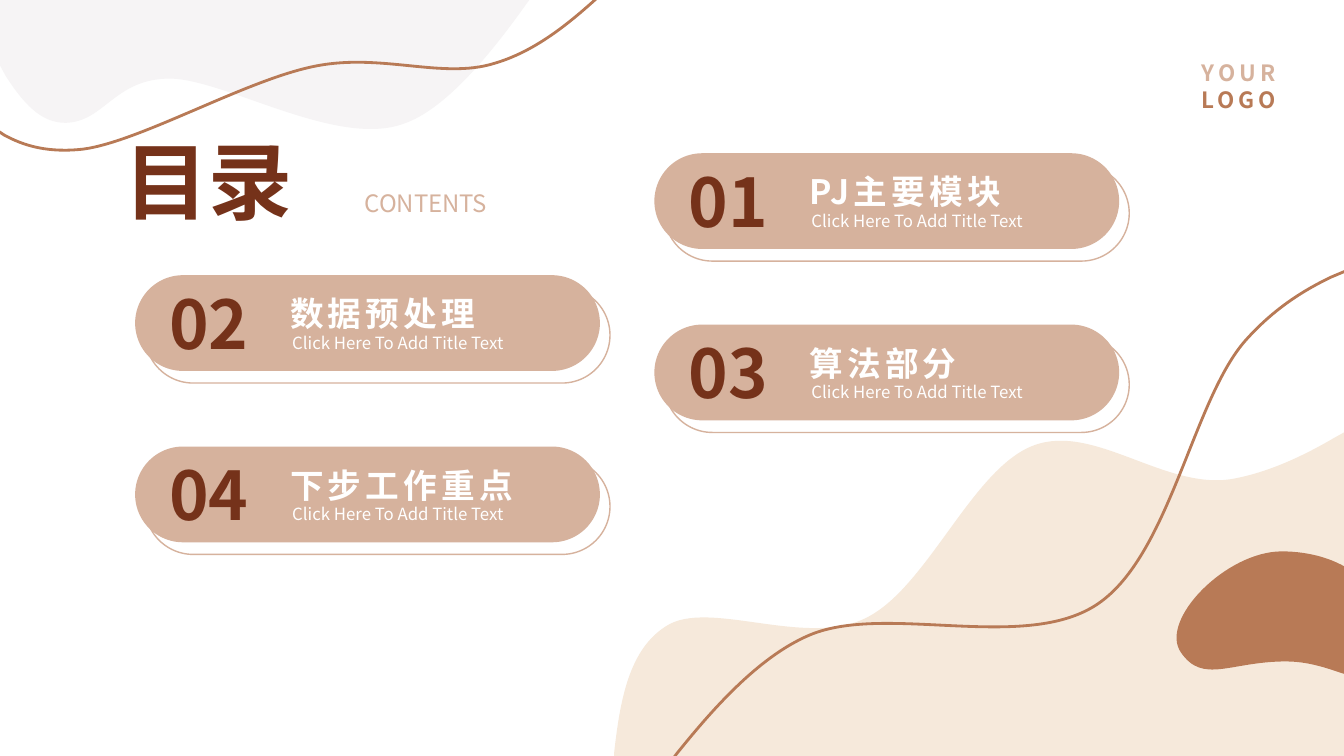
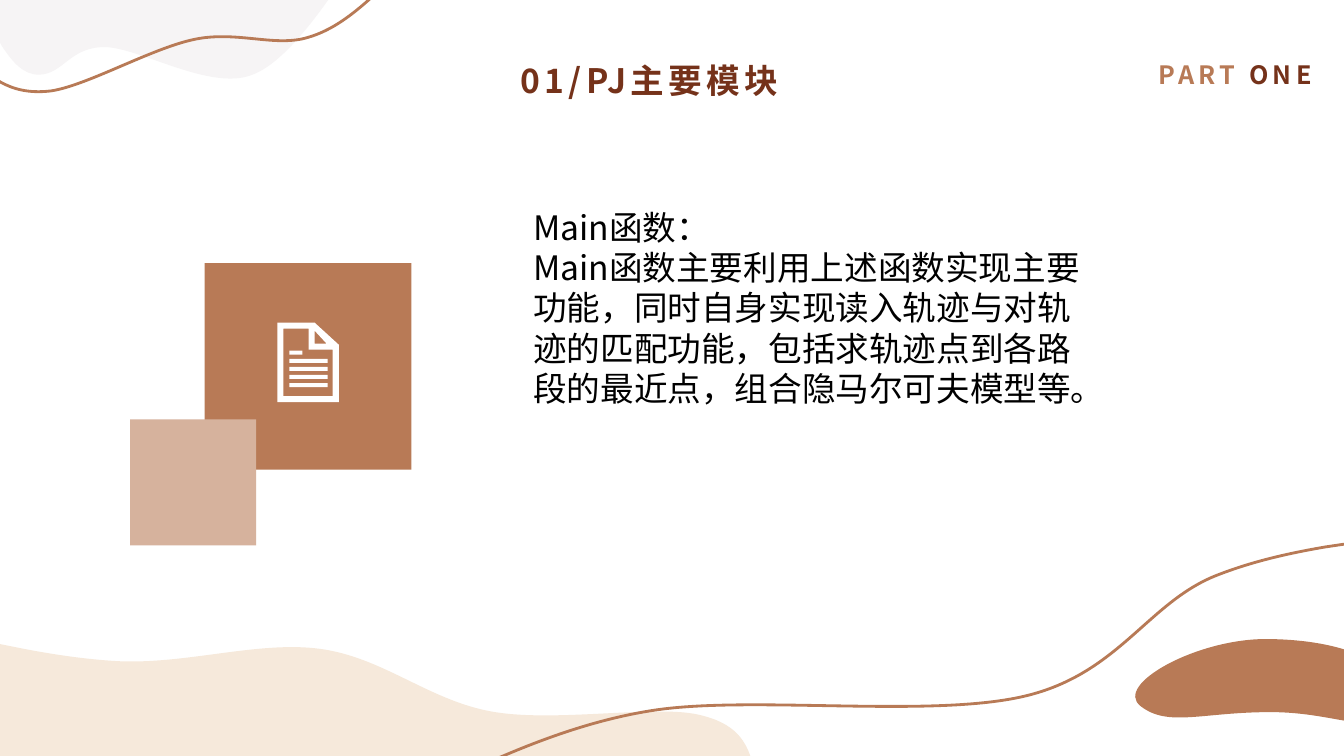
from pptx import Presentation
from pptx.dml.color import RGBColor
from pptx.enum.shapes import MSO_SHAPE as Shape
from pptx.enum.text import PP_ALIGN as Align
from pptx.oxml.ns import qn
from pptx.util import Inches, Pt
from lxml.etree import SubElement

WIDTH, HEIGHT = 13.33, 7.5
FONT = "Noto Sans CJK SC"
BROWN, COPPER, SAND, CREAM, GREY, WHITE, BLACK = (
    "75321A", "B87A56", "D6B29D", "F6E9DB", "F6F4F5", "FFFFFF", "000000")

CHAPTERS = [("01", "PJ主要模块"), ("02", "数据预处理"),
            ("03", "算法部分"), ("04", "下步工作重点")]
CHAPTER_HINT = "Click Here To Add Title Text"
CARD_COLUMNS = [(6.49, 1.52), (1.34, 2.73)]
CARD_PITCH, CARD_SIZE = 1.7, (4.61, 0.95)

MAIN_TEXT = [
    "Main函数：",
    "Main函数主要利用上述函数实现主要功能，同时自身实现读入轨迹与对轨迹的匹配功能，"
    "包括求轨迹点到各路段的最近点，组合隐马尔可夫模型等。",
]

# Outlines: a pair is a line to that point, six numbers are a Bezier curve.
HILL = [(13.33, 4.29), (13.33, 7.5), (6.09, 7.5), (6.09, 7.48),
        (6.15, 6.94, 6.24, 6.44, 6.61, 6.21), (7.03, 5.94, 7.99, 6.43, 8.59, 6.13),
        (9.2, 5.83, 9.64, 4.65, 10.25, 4.42), (10.85, 4.19, 11.56, 4.87, 12.23, 4.75),
        (12.56, 4.69, 12.9, 4.54, 13.24, 4.34)]
CLOUD = [(0, 0), (5.25, 0), (5.22, 0.04), (4.88, 0.52, 4.42, 1.09, 4, 1.23),
         (3.34, 1.47, 2.24, 0.79, 1.69, 0.78), (1.13, 0.78, 1.04, 1.21, 0.65, 1.22),
         (0.4, 1.22, 0.23, 1.02, 0.06, 0.76), (0, 0.65)]
TOP_WAVE = [(-0.05, -0.06), (5.96, -0.06), (5.9, 0),
            (5.6, 0.27, 5.28, 0.52, 4.9, 0.63), (4.38, 0.79, 3.78, 0.52, 3.11, 0.66),
            (2.43, 0.8, 1.4, 1.4, 0.83, 1.48), (0.48, 1.52, 0.24, 1.45, 0.04, 1.34),
            (-0.05, 1.28)]
BOTTOM_WAVE = [(13.39, 2.67), (13.39, 7.56), (6.65, 7.56), (6.71, 7.48),
               (7.04, 7.07, 7.51, 6.52, 8.03, 6.3),
               (8.79, 5.98, 10.17, 6.48, 10.89, 5.99),
               (11.61, 5.5, 11.83, 3.96, 12.36, 3.37),
               (12.63, 3.07, 12.91, 2.89, 13.2, 2.75)]
PEBBLE = [(11.71, 6.47), (11.49, 6.15, 12.16, 5.47, 12.71, 5.47),
          (13.27, 5.47, 13.83, 5.78, 13.71, 6.47), (13.59, 6.97, 13.31, 6.56, 12.75, 6.56),
          (12.2, 6.56, 11.93, 6.79, 11.71, 6.47)]
DECOR = [(HILL, CREAM, None), (CLOUD, GREY, None), (TOP_WAVE, None, COPPER),
         (BOTTOM_WAVE, None, COPPER), (PEBBLE, COPPER, None)]

# One frame (left, top, width, height) for each part of DECOR; negative width mirrors.
CONTENTS_FRAMES = [(6.09, 4.29, 7.24, 3.21), (0, 0, 5.25, 1.28), (-0.05, -0.06, 6.01, 1.55),
                   (6.65, 2.67, 6.74, 4.89), (11.67, 5.47, 2.06, 1.25)]
CHAPTER_FRAMES = [(7.46, 6.39, -7.46, 1.17), (-0.02, -0.02, 3.29, 0.8),
                  (-0.05, -0.06, 3.77, 0.97), (4.72, 5.39, 8.67, 2.23),
                  (11.26, 6.34, 2.55, 0.83)]

PAGE_ICON = [
    [(2.75, 3.2), (3.12, 3.2), (3.36, 3.42), (3.36, 3.99), (2.75, 3.99)],
    [(2.81, 3.26), (3.06, 3.26), (3.06, 3.47), (3.3, 3.47), (3.3, 3.93), (2.81, 3.93)],
    [(3.12, 3.28), (3.24, 3.41), (3.12, 3.41)],
]
PAGE_LINE_WIDTHS = [0.13, 0.38, 0.38, 0.38, 0.38]


def colour(code):
    return RGBColor.from_string(code)


def paint(shape, fill=None, line=None, weight=1):
    shape.shadow.inherit = False
    if fill:
        shape.fill.solid()
        shape.fill.fore_color.rgb = colour(fill)
    else:
        shape.fill.background()
    if line:
        shape.line.color.rgb = colour(line)
        shape.line.width = Pt(weight)
    else:
        shape.line.fill.background()


def add_box(slide, left, top, width, height, kind=Shape.RECTANGLE, **look):
    box = slide.shapes.add_shape(kind, *map(Inches, (left, top, width, height)))
    if kind == Shape.ROUNDED_RECTANGLE:
        box.adjustments[0] = 0.5
    paint(box, **look)


def add_text(slide, paragraphs, left, top, width, height, size=24, color=BLACK,
             bold=False, spacing=0, align=Align.LEFT):
    """A paragraph is a string or a list of (text, colour) runs."""
    frame = slide.shapes.add_textbox(*map(Inches, (left, top, width, height))).text_frame
    frame.word_wrap = True
    for index, content in enumerate(paragraphs):
        paragraph = frame.paragraphs[0] if index == 0 else frame.add_paragraph()
        paragraph.alignment = align
        runs = [(content, color)] if isinstance(content, str) else content
        for words, run_color in runs:
            run = paragraph.add_run()
            run.text = words
            font = run.font
            font.name, font.size, font.bold = FONT, Pt(size), bold
            font.color.rgb = colour(run_color)
            properties = run._r.get_or_add_rPr()
            SubElement(properties, qn("a:ea")).set("typeface", FONT)
            if spacing:
                properties.set("spc", str(spacing * 100))


def pairs(part):
    return list(zip(part[::2], part[1::2]))


def flatten(outline, steps=20):
    """Sample the outline, so that its true extent is known."""
    points = []
    for part in outline:
        if len(part) == 2:
            points.append(part)
            continue
        knots = [points[-1], *pairs(part)]
        for step in range(1, steps + 1):
            t = step / steps
            weights = ((1 - t) ** 3, 3 * t * (1 - t) ** 2, 3 * t * t * (1 - t), t ** 3)
            points.append(tuple(sum(w * knot[axis] for w, knot in zip(weights, knots))
                                for axis in (0, 1)))
    return points


def fit(outline, left, top, width, height):
    """Stretch the outline into a frame."""
    xs, ys = zip(*flatten(outline))
    sx, sy = width / (max(xs) - min(xs)), height / (max(ys) - min(ys))
    return [tuple(value for x, y in pairs(part)
                  for value in (left + (x - min(xs)) * sx, top + (y - min(ys)) * sy))
            for part in outline]


def add_outline(slide, contours, **look):
    contours = [[(Inches(x), Inches(y)) for x, y in contour] for contour in contours]
    builder = slide.shapes.build_freeform(*contours[0][0], scale=1.0)
    for index, contour in enumerate(contours):
        if index:
            builder.move_to(*contour[0])
        builder.add_line_segments(contour[1:], close=True)
    shape = builder.convert_to_shape()
    paint(shape, **look)
    return shape


def add_curve(slide, outline, **look):
    """Draw the sampled outline, then write its segments as true Bezier curves."""
    shape = add_outline(slide, [flatten(outline)], **look)
    drawing = shape._element.find(".//" + qn("a:path"))
    for segment in list(drawing):
        drawing.remove(segment)
    for index, part in enumerate(outline):
        tag = "a:moveTo" if index == 0 else "a:lnTo" if len(part) == 2 else "a:cubicBezTo"
        segment = SubElement(drawing, qn(tag))
        for x, y in pairs(part):
            point = SubElement(segment, qn("a:pt"))
            point.set("x", str(Inches(x) - shape.left))
            point.set("y", str(Inches(y) - shape.top))
    SubElement(drawing, qn("a:close"))


def add_decor(slide, frames):
    for (outline, fill, line), frame in zip(DECOR, frames):
        add_curve(slide, fit(outline, *frame), fill=fill, line=line, weight=2)


def add_card(slide, x, y, number, title):
    pill = Shape.ROUNDED_RECTANGLE
    add_box(slide, x + 0.1, y + 0.12, *CARD_SIZE, kind=pill, line=SAND)
    add_box(slide, x, y, *CARD_SIZE, kind=pill, fill=SAND)
    add_text(slide, [title], x + 1.44, y + 0.13, 2.98, 0.5,
             color=WHITE, bold=True, spacing=3)
    add_text(slide, [CHAPTER_HINT], x + 1.46, y + 0.52, 2.69, 0.3, size=12, color=WHITE)
    add_text(slide, [number], x + 0.24, y + 0.02, 1.36, 0.91,
             size=48, color=BROWN, bold=True)


def build_contents(slide):
    add_decor(slide, CONTENTS_FRAMES)
    add_text(slide, ["目录"], 1.14, 1.24, 2.24, 1.11, size=60, color=BROWN, bold=True,
             align=Align.JUSTIFY)
    add_text(slide, ["CONTENTS"], 3.52, 1.82, 2.24, 0.39, size=17.1, color=SAND,
             align=Align.JUSTIFY)
    for index, (number, title) in enumerate(CHAPTERS):
        row, column = divmod(index, len(CARD_COLUMNS))
        x, y = CARD_COLUMNS[column]
        add_card(slide, x, y + row * CARD_PITCH, number, title)
    add_text(slide, [[("YOUR", SAND)], [("LOGO", COPPER)]], 11.66, 0.54, 1.25, 0.64,
             size=16, bold=True, spacing=3, align=Align.CENTER)


def build_chapter(slide):
    add_box(slide, 2.03, 2.61, 2.05, 2.05, fill=COPPER)
    add_box(slide, 1.29, 4.16, 1.25, 1.25, fill=SAND)
    add_decor(slide, CHAPTER_FRAMES)
    add_text(slide, ["/".join(CHAPTERS[0])], 4.35, 0.55, 4.18, 0.5,
             color=BROWN, bold=True, spacing=3, align=Align.CENTER)
    add_text(slide, [[("PART ", COPPER), ("ONE", BROWN)]], 11.34, 0.54, 1.82, 0.71,
             size=18, bold=True, spacing=3, align=Align.CENTER)
    add_outline(slide, PAGE_ICON, fill=WHITE)
    for row, width in enumerate(PAGE_LINE_WIDTHS):
        add_box(slide, 2.87, 3.48 + 0.08 * row, width, 0.04, fill=WHITE)
    add_text(slide, MAIN_TEXT, 5.19, 2, 5.82, 2.12)


def main():
    deck = Presentation()
    deck.slide_width, deck.slide_height = Inches(WIDTH), Inches(HEIGHT)
    for build in (build_contents, build_chapter):
        build(deck.slides.add_slide(deck.slide_layouts[6]))
    deck.save("out.pptx")


if __name__ == "__main__":
    main()
